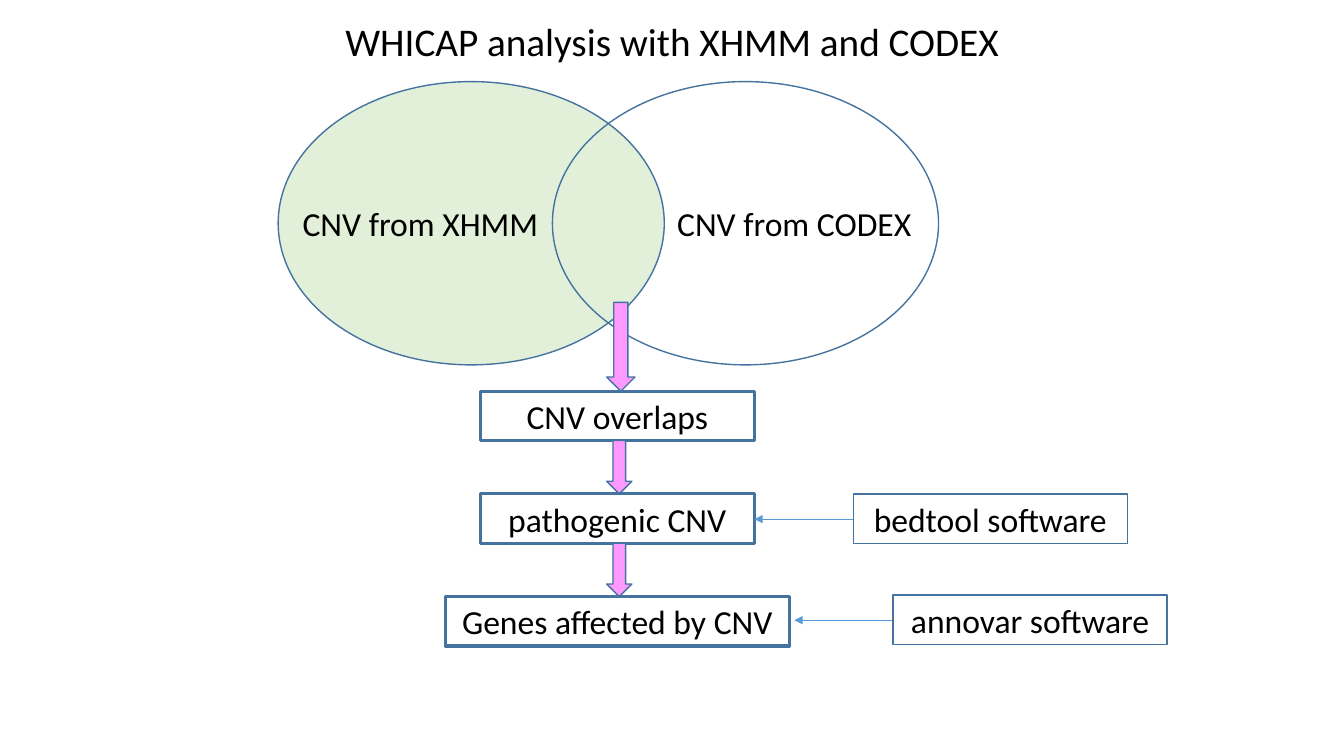
from lxml.etree import SubElement
from pptx import Presentation
from pptx.dml.color import RGBColor
from pptx.enum.shapes import MSO_CONNECTOR, MSO_SHAPE
from pptx.enum.text import MSO_ANCHOR, PP_ALIGN
from pptx.oxml.ns import qn
from pptx.util import Pt

BLUE, LIGHT_BLUE = "43739E", "5B9BD5"
GREEN, PINK, WHITE = "E2F0D9", "FF99FF", "FFFFFF"


def color(value):
    return RGBColor.from_string(value)


def write(sp, text, size=24, font="Calibri", fill="000000", anchor=MSO_ANCHOR.TOP, wrap=True):
    tf = sp.text_frame
    tf.word_wrap = wrap
    tf.vertical_anchor = anchor
    p = tf.paragraphs[0]
    p.alignment = PP_ALIGN.CENTER
    r = p.add_run()
    r.text = text
    r.font.size = Pt(size)
    r.font.name = font
    r.font.color.rgb = color(fill)


def add_label(s, text, x, y, w, h, **fmt):
    write(s.shapes.add_textbox(Pt(x), Pt(y), Pt(w), Pt(h)), text, **fmt)


def add_block(s, kind, x, y, w, h, fill=None, line=1):
    sp = s.shapes.add_shape(kind, Pt(x), Pt(y), Pt(w), Pt(h))
    sp.shadow.inherit = False
    if fill:
        sp.fill.solid()
        sp.fill.fore_color.rgb = color(fill)
    else:
        sp.fill.background()
    sp.line.color.rgb = color(BLUE)
    sp.line.width = Pt(line)
    return sp


def add_box(s, text, x, y, w, h, line):
    sp = add_block(s, MSO_SHAPE.RECTANGLE, x, y, w, h, WHITE, line)
    write(sp, text, anchor=MSO_ANCHOR.MIDDLE)


def add_pointer(s, x1, x2, y):
    cxn = s.shapes.add_connector(MSO_CONNECTOR.STRAIGHT, Pt(x1), Pt(y), Pt(x2), Pt(y))
    cxn.line.color.rgb = color(LIGHT_BLUE)
    cxn.line.width = Pt(0.5)
    SubElement(cxn.line._get_or_add_ln(), qn("a:tailEnd"), type="triangle")
    SubElement(cxn._element.spPr, qn("a:effectLst"))


def add_venn(s, x, y, w, h):
    oval_w = 275.8
    right_x = x + w - oval_w
    label_y = y + 82.8
    add_block(s, MSO_SHAPE.OVAL, x, y, oval_w, h, GREEN)
    add_block(s, MSO_SHAPE.OVAL, right_x, y, oval_w, h)
    add_label(s, "CNV from XHMM", x + 7.2, label_y, right_x - x - 7.2, 36)
    add_label(s, "CNV from CODEX", x + 256.3, label_y, 224.6, 36)


def add_flow(s, x, y, w, h):
    box_w, box_h = 195.8, 35.3
    pitch = (h - box_h) / 2
    mid = x + w / 2
    steps = [("CNV overlaps", box_w), ("pathogenic CNV", box_w), ("Genes affected by CNV", w)]
    tools = {1: ("bedtool software", 0), 2: ("annovar software", 3.6)}
    add_block(s, MSO_SHAPE.DOWN_ARROW, mid - 7.6, y - 63.4, 20.2, 63.4, PINK)
    for i, (text, step_w) in enumerate(steps):
        top = y + i * pitch
        left = mid - step_w / 2
        if i:
            add_block(s, MSO_SHAPE.DOWN_ARROW, mid - 7.6, top - 38.2, 18, 38.2, PINK)
        add_box(s, text, left, top, step_w, box_h, 2.25)
        if i in tools:
            tool, gap = tools[i]
            tip = left + step_w + gap
            tool_x = tip + 70.6
            tool_y = top - gap / 3
            add_pointer(s, tool_x, tip, tool_y + 18)
            add_box(s, tool, tool_x, tool_y, box_w, box_h, 1)


prs = Presentation()
prs.slide_width, prs.slide_height = Pt(960), Pt(540)
s = prs.slides.add_slide(prs.slide_layouts[6])
add_label(s, "WHICAP analysis with XHMM and CODEX", 0, 8.6, 960, 41, size=28)
add_venn(s, 198.7, 58.3, 471.7, 202.3)
add_flow(s, 318.2, 279.4, 245.5, 182.1)
prs.save("out.pptx")
